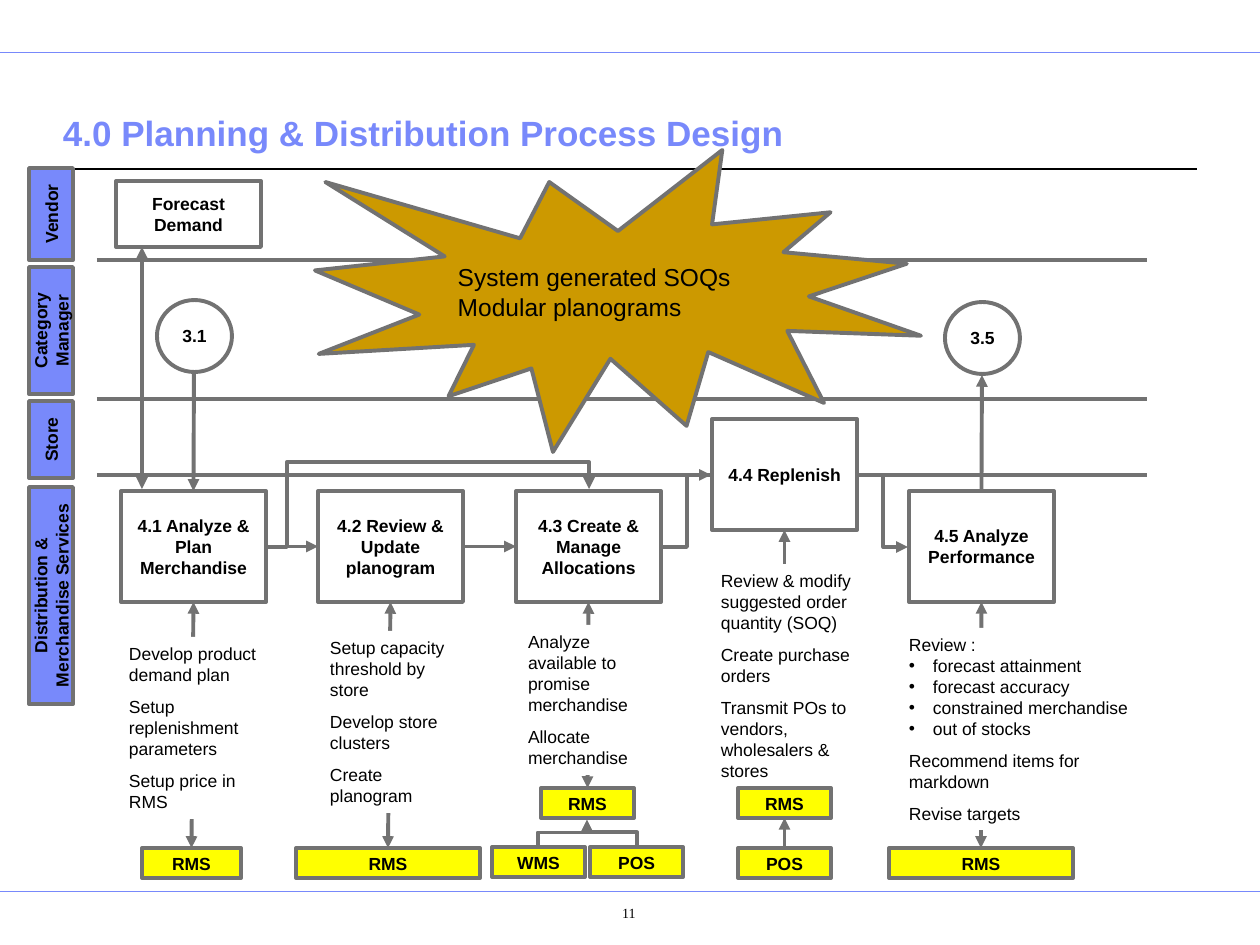
from dataclasses import dataclass

from lxml import etree
from pptx import Presentation
from pptx.dml.color import RGBColor
from pptx.enum.shapes import MSO_CONNECTOR, MSO_SHAPE
from pptx.enum.text import MSO_ANCHOR, PP_ALIGN
from pptx.oxml.ns import qn
from pptx.util import Emu, Pt

STRAIGHT, ELBOW = MSO_CONNECTOR.STRAIGHT, MSO_CONNECTOR.ELBOW
PROCESS, RECT = MSO_SHAPE.FLOWCHART_PROCESS, MSO_SHAPE.RECTANGLE
CIRCLE, BURST = MSO_SHAPE.OVAL, MSO_SHAPE.EXPLOSION1
LEFT, CENTER = PP_ALIGN.LEFT, PP_ALIGN.CENTER
TOP, MIDDLE, BOTTOM = MSO_ANCHOR.TOP, MSO_ANCHOR.MIDDLE, MSO_ANCHOR.BOTTOM
SIDE_TOP, SIDE_LEFT, SIDE_BOTTOM, SIDE_RIGHT = range(4)
PX_PER_INCH = 126


@dataclass(frozen=True)
class Theme:
    font: str = "Arial"
    number_font: str = "Times New Roman"
    accent: str = "7889FB"
    line: str = "727272"
    text: str = "000000"
    paper: str = "FFFFFF"
    system: str = "FFFF00"
    burst: str = "CC9900"
    title_size: int = 20
    burst_size: int = 14
    body_size: int = 10
    number_size: int = 8
    line_width: float = 2.25
    paragraph_gap: float = 6.2


THEME = Theme()


def px(length):
    return Emu(round(length * 914400 / PX_PER_INCH))


def rgb(color):
    return RGBColor.from_string(color)


def write(box, lines, size=THEME.body_size, bold=False, color=THEME.text,
          font=THEME.font, align=LEFT, anchor=TOP, insets=(13, 6, 13, 6), gap=0):
    """Fill a box with paragraphs; a line starting with a bullet gets a hanging one."""
    frame = box.text_frame
    frame.word_wrap = True
    frame.vertical_anchor = anchor
    (frame.margin_left, frame.margin_top,
     frame.margin_right, frame.margin_bottom) = map(px, insets)
    for index, line in enumerate(lines):
        para = frame.paragraphs[0] if index == 0 else frame.add_paragraph()
        para.alignment = align
        bulleted = line.startswith("•")
        if bulleted:
            properties = para._p.get_or_add_pPr()
            properties.set("marL", str(px(24)))
            properties.set("indent", str(-px(24)))
            etree.SubElement(properties, qn("a:buFont")).set("typeface", font)
            etree.SubElement(properties, qn("a:buChar")).set("char", "•")
        para.space_before = Pt(gap if index and not bulleted else 0)
        span = para.add_run()
        span.text = line.lstrip("•")
        span.font.size = Pt(size)
        span.font.bold = bold
        span.font.name = font
        span.font.color.rgb = rgb(color)


def add_box(page, kind, x, y, w, h, fill, outlined=True):
    box = page.shapes.add_shape(kind, px(x), px(y), px(w), px(h))
    box.shadow.inherit = False
    box.fill.solid()
    box.fill.fore_color.rgb = rgb(fill)
    if outlined:
        box.line.color.rgb = rgb(THEME.line)
        box.line.width = Pt(THEME.line_width)
    else:
        box.line.fill.background()
    return box


def add_label(page, kind, x, y, w, h, label, fill=THEME.paper):
    box = add_box(page, kind, x, y, w, h, fill)
    write(box, [label], bold=True, align=CENTER, anchor=MIDDLE)
    return box


def add_lane_tab(page, top, length, label):
    center_x, thickness = 51, 44
    tab = add_label(page, RECT, center_x - length / 2, top + (length - thickness) / 2,
                    length, thickness, label, THEME.accent)
    tab.rotation = 270


def add_notes(page, x, y, w, h, lines):
    box = add_box(page, RECT, x, y, w, h, THEME.paper, outlined=False)
    write(box, lines, gap=THEME.paragraph_gap)


def add_text(page, x, y, w, h, line, **style):
    write(page.shapes.add_textbox(px(x), px(y), px(w), px(h)), [line], **style)


def add_line(page, start, end, kind=STRAIGHT, color=THEME.line,
             width=THEME.line_width, head=False, tail=False):
    line = page.shapes.add_connector(kind, *map(px, (*start, *end)))
    line.line.color.rgb = rgb(color)
    line.line.width = Pt(width)
    properties = line._element.spPr
    for tag, wanted in (("a:headEnd", head), ("a:tailEnd", tail)):
        if wanted:
            etree.SubElement(properties.find(qn("a:ln")), qn(tag)).set("type", "triangle")
    etree.SubElement(properties, qn("a:effectLst"))
    return line


def join(page, source, source_side, target, target_side, head=False):
    line = add_line(page, (0, 0), (0, 0), head=head, tail=True)
    line.begin_connect(source, source_side)
    line.end_connect(target, target_side)


def add_rising_elbow(page, start, end):
    """Elbow that leaves upwards: a sideways elbow turned by 270 degrees."""
    middle_x, middle_y = (start[0] + end[0]) / 2, (start[1] + end[1]) / 2
    across, rise = (end[0] - start[0]) / 2, (start[1] - end[1]) / 2
    line = add_line(page, (middle_x - rise, middle_y - across),
                    (middle_x + rise, middle_y + across), ELBOW, tail=True)
    line._element.spPr.find(qn("a:xfrm")).set("rot", str(270 * 60000))


def add_bypass(page, start, end, turn_x, turn_y):
    """Elbow going right, up over the boxes, across and down."""
    line = add_line(page, start, end, ELBOW, tail=True)
    geometry = line._element.spPr.find(qn("a:prstGeom"))
    geometry.set("prst", "bentConnector4")
    ratios = ((turn_x - start[0]) / (end[0] - start[0]),
              (turn_y - start[1]) / (end[1] - start[1]))
    for number, ratio in enumerate(ratios, 1):
        guide = etree.SubElement(geometry.find(qn("a:avLst")), qn("a:gd"))
        guide.set("name", f"adj{number}")
        guide.set("fmla", f"val {round(ratio * 100000)}")


def main():
    deck = Presentation()
    deck.slide_width, deck.slide_height = px(1260), px(945)
    page = deck.slides.add_slide(deck.slide_layouts[6])

    # Page rules, title and number
    for y in (52, 891):
        add_line(page, (0, y), (1260, y), color=THEME.accent, width=0.5)
    add_line(page, (63, 169), (1197, 169), color=THEME.text, width=0.75)
    add_text(page, 63, 80, 1134, 79, "4.0 Planning & Distribution Process Design",
             size=THEME.title_size, bold=True, color=THEME.accent,
             anchor=BOTTOM, insets=(0, 6, 0, 6))
    add_text(page, 538, 896, 145, 44, "11", size=THEME.number_size,
             font=THEME.number_font, align=CENTER, insets=(50, 9, 13, 6))

    # Swim lanes
    for y in (260, 399, 475):
        add_line(page, (97, y), (1147, y))
    for top, length, label in ((168, 92, "Vendor"), (267, 127, "Category Manager"),
                               (401, 77, "Store"),
                               (487, 217, "Distribution & Merchandise Services")):
        add_lane_tab(page, top, length, label)

    # Process steps
    add_label(page, PROCESS, 116, 181, 145, 66, "Forecast Demand")
    plan, review, allocate, replenish, analyze = [
        add_label(page, PROCESS, x, y, 145, 111, label) for x, y, label in (
            (121, 491, "4.1 Analyze & Plan Merchandise"),
            (318, 491, "4.2 Review & Update planogram"),
            (516, 491, "4.3 Create & Manage Allocations"),
            (712, 419, "4.4 Replenish"),
            (909, 491, "4.5 Analyze Performance"))]
    add_label(page, CIRCLE, 157, 300, 75, 72, "3.1")
    add_label(page, CIRCLE, 945, 302, 75, 72, "3.5")

    # Supporting systems
    (plan_rms, review_rms, allocate_rms, replenish_rms, analyze_rms, replenish_pos,
     *_) = [add_label(page, PROCESS, x, y, w, 30, label, THEME.system)
            for x, y, w, label in (
                (142, 848, 99, "RMS"), (296, 848, 184, "RMS"), (541, 788, 93, "RMS"),
                (738, 788, 93, "RMS"), (889, 848, 184, "RMS"), (738, 848, 93, "POS"),
                (492, 847, 93, "WMS"), (590, 847, 93, "POS"))]

    # Flow between steps
    join(page, plan, SIDE_RIGHT, review, SIDE_LEFT)
    join(page, review, SIDE_RIGHT, allocate, SIDE_LEFT)
    add_line(page, (663, 547), (711, 475), ELBOW, tail=True)
    add_line(page, (859, 475), (908, 547), ELBOW, tail=True)
    add_bypass(page, (268, 547), (589, 489), 287, 462)
    add_line(page, (142, 247), (142, 489), head=True, tail=True)
    into_plan = add_line(page, (194, 372), (194, 490), tail=True)
    into_plan.end_connect(plan, SIDE_TOP)
    from_analyze = add_line(page, (982, 490), (982, 375), tail=True)
    from_analyze.begin_connect(analyze, SIDE_TOP)

    # Links between steps and systems
    for step, system in ((plan, plan_rms), (review, review_rms), (allocate, allocate_rms),
                         (replenish, replenish_rms), (analyze, analyze_rms)):
        join(page, step, SIDE_BOTTOM, system, SIDE_TOP, head=True)
    join(page, replenish_pos, SIDE_TOP, replenish_rms, SIDE_BOTTOM)
    for x in (637, 538):
        add_rising_elbow(page, (x, 845), (587, 820))

    # Activities under each step
    add_notes(page, 116, 637, 155, 182, [
        "Develop product demand plan", "Setup replenishment parameters",
        "Setup price in RMS"])
    add_notes(page, 317, 631, 155, 182, [
        "Setup capacity threshold by store", "Develop store clusters", "Create planogram"])
    add_notes(page, 515, 625, 155, 150, [
        "Analyze available to promise merchandise", "Allocate merchandise"])
    add_notes(page, 708, 564, 162, 222, [
        "Review & modify suggested order quantity (SOQ)", "Create purchase orders",
        "Transmit POs to vendors, wholesalers & stores"])
    add_notes(page, 896, 628, 257, 202, [
        "Review :", "•forecast attainment", "•forecast accuracy",
        "•constrained merchandise", "•out of stocks",
        "Recommend items for markdown", "Revise targets"])

    # Highlight
    burst = add_box(page, BURST, 315, 150, 606, 302, THEME.burst)
    write(burst, ["System generated SOQs", "Modular planograms"],
          size=THEME.burst_size, anchor=MIDDLE)

    deck.save("out.pptx")


if __name__ == "__main__":
    main()
